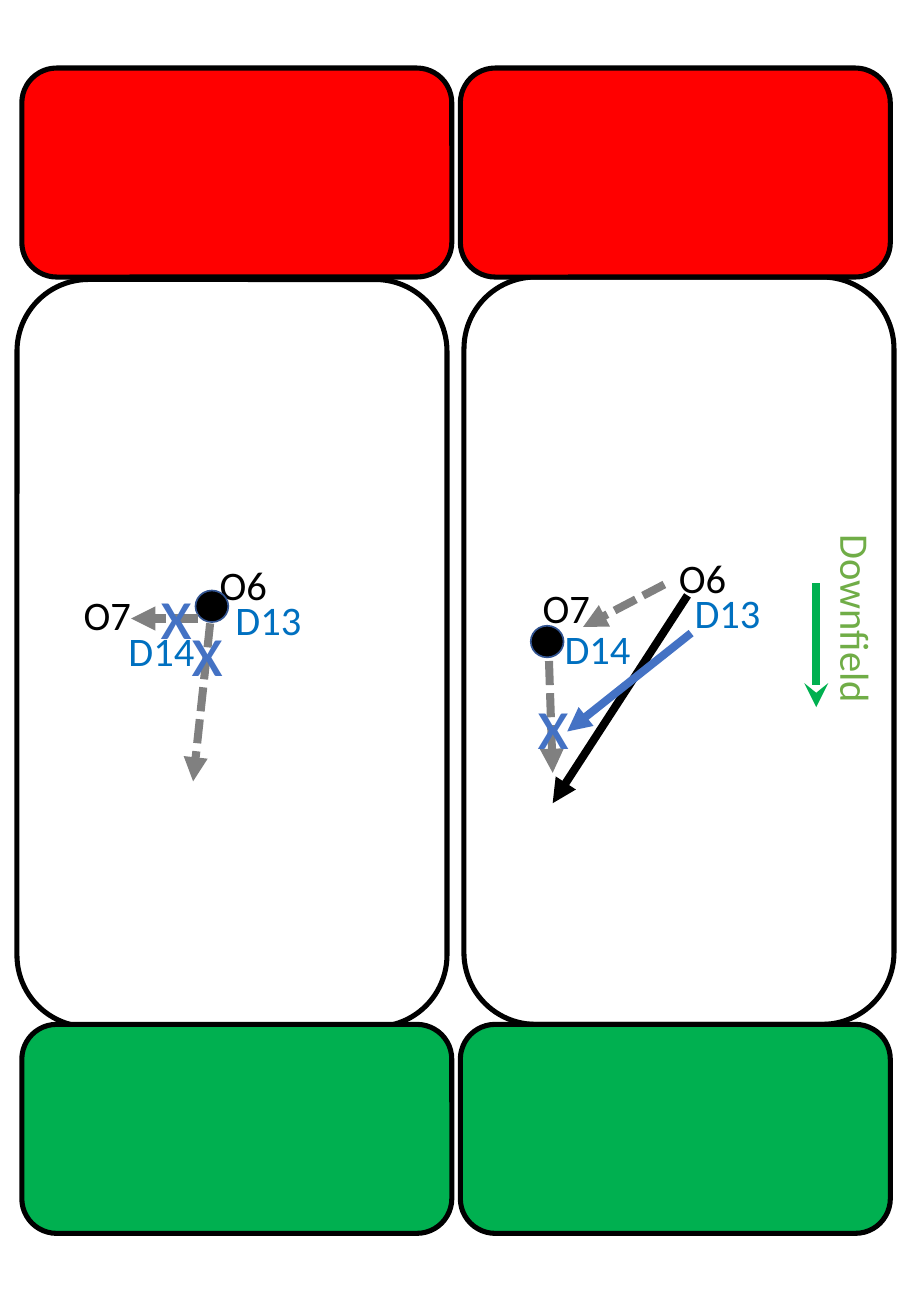
from pptx import Presentation
from pptx import util as u
from pptx.dml.color import RGBColor
from pptx.enum import dml, shapes, text
from pptx.oxml.ns import qn
from lxml import etree

BLACK, WHITE, GREY = "000000", "FFFFFF", "808080"
RED, GREEN, LIGHT_GREEN = "FF0000", "00B050", "70AD47"
DEFENDER, CROSS = "0070C0", "4472C4"
ZONE_WIDTH, END_HEIGHT, FIELD_HEIGHT = 3.54, 1.72, 6.15

# Left, top of each field, and left of its end zones
FIELDS = [(3.82, 2.28, 3.79), (0.14, 2.3, 0.18)]
END_ZONES = [(8.43, GREEN), (0.56, RED)]
# Text, left, top, width
PLAYERS = [
    ("O6", 1.71, 4.56, 0.84), ("O7", 0.59, 4.81, 0.74),
    ("D13", 1.84, 4.85, 0.97), ("D14", 0.96, 5.1, 0.97),
    ("O6", 5.49, 4.5, 0.84), ("O7", 4.37, 4.75, 0.74),
    ("D13", 5.62, 4.79, 0.97), ("D14", 4.55, 5.09, 0.97),
]
BALLS = [(1.61, 4.86), (4.37, 5.15)]
PASSES = [
    (1.63, 5.09, 1.08, 5.09), (4.52, 5.44, 4.55, 6.36),
    (1.73, 5.13, 1.59, 6.43), (5.47, 4.81, 4.8, 5.16),
]
CROSSES = [(1.22, 4.6), (1.48, 4.91), (4.33, 5.51)]


def paint(color_format, color):
    color_format.rgb = RGBColor.from_string(color)


def add_outlined(page, kind, place, fill, line, weight):
    shape = page.shapes.add_shape(kind, *map(u.Inches, place))
    shape.shadow.inherit = False
    shape.fill.solid()
    paint(shape.fill.fore_color, fill)
    paint(shape.line.color, line)
    shape.line.width = u.Pt(weight)


def add_zone(page, left, top, height, fill):
    add_outlined(page, shapes.MSO_SHAPE.ROUNDED_RECTANGLE,
                 (left, top, ZONE_WIDTH, height), fill, BLACK, 3)


def add_ball(page, left, top):
    add_outlined(page, shapes.MSO_SHAPE.OVAL,
                 (left, top, 0.27, 0.26), BLACK, "325491", 1)


def add_label(page, words, place, color, size=24, rotation=0):
    box = page.shapes.add_textbox(*map(u.Inches, place))
    box.rotation = rotation
    frame = box.text_frame
    frame.word_wrap = True
    frame.auto_size = text.MSO_AUTO_SIZE.SHAPE_TO_FIT_TEXT
    para = frame.paragraphs[0]
    para.text = words
    para.font.name = "Calibri"
    para.font.size = u.Pt(size)
    paint(para.font.color, color)


def add_arrow(page, ends, color, dashed=False, head="triangle"):
    arrow = page.shapes.add_connector(
        shapes.MSO_CONNECTOR.STRAIGHT, *map(u.Inches, ends))
    paint(arrow.line.color, color)
    arrow.line.width = u.Pt(4.75)
    if dashed:
        arrow.line.dash_style = dml.MSO_LINE.SQUARE_DOT
    properties = arrow._element.spPr
    etree.SubElement(properties.get_or_add_ln(), qn("a:tailEnd"), type=head)
    etree.SubElement(properties, qn("a:effectLst"))


def main():
    deck = Presentation()
    deck.slide_width, deck.slide_height = u.Inches(7.5), u.Inches(10.83)
    page = deck.slides.add_slide(deck.slide_layouts[6])

    for left, top, _ in FIELDS:
        add_zone(page, left, top, FIELD_HEIGHT, WHITE)
    for _, _, left in FIELDS:
        for top, fill in END_ZONES:
            add_zone(page, left, top, END_HEIGHT, fill)

    for name, left, top, width in PLAYERS:
        color = DEFENDER if name.startswith("D") else BLACK
        add_label(page, name, (left, top, width, 0.5), color)
    add_label(page, "Downfield", (6.19, 4.91, 1.72, 0.5), LIGHT_GREEN,
              rotation=90)
    for left, top in BALLS:
        add_ball(page, left, top)

    for ends in PASSES:
        add_arrow(page, ends, GREY, dashed=True)
    add_arrow(page, (5.66, 4.9, 4.55, 6.61), BLACK)
    add_arrow(page, (5.69, 5.21, 4.67, 6.02), CROSS)
    add_arrow(page, (6.72, 4.8, 6.72, 5.82), GREEN, head="stealth")
    for left, top in CROSSES:
        add_label(page, "x", (left, top, 0.75, 0.84), CROSS, size=44)

    deck.save("out.pptx")


if __name__ == "__main__":
    main()
